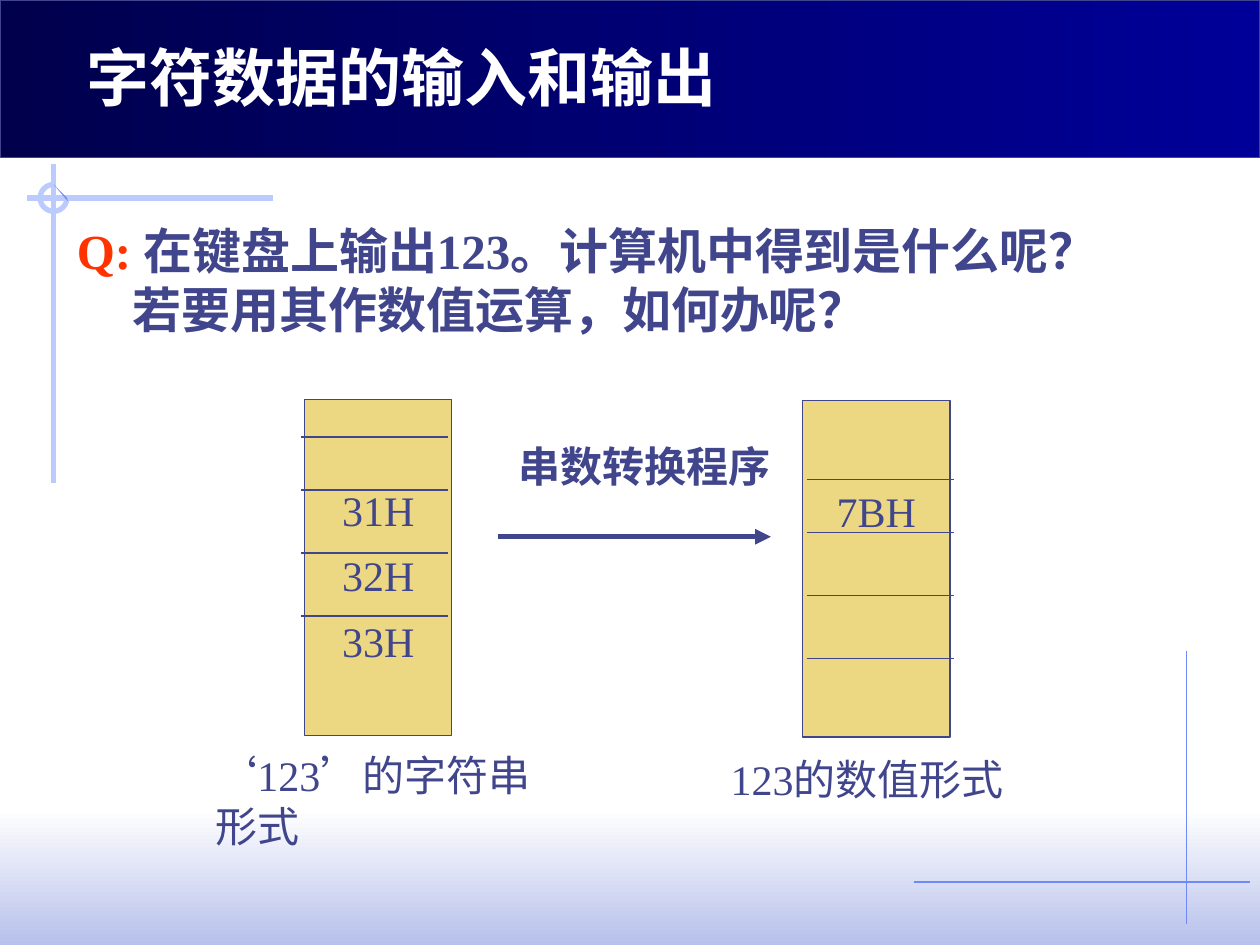
import pptx
import pptx.dml.color
import pptx.enum.lang
import pptx.enum.shapes
import pptx.enum.text
import pptx.oxml
import pptx.oxml.ns
import pptx.util
from pptx.util import Cm

COLORS = {
    "white": "FFFFFF", "ink": "40458C", "red": "FF3300", "cell": "ECD882",
    "navy": "00004D", "blue": "000099", "haze": "B7C1EB",
    "pale": "BBCBFD", "accent": "6F89F7",
}
FONT = "Times New Roman"
SHAPES = pptx.enum.shapes.MSO_SHAPE
ANCHORS = pptx.enum.text.MSO_ANCHOR


def rgb(name):
    """Return the named colour."""
    return pptx.dml.color.RGBColor.from_string(COLORS[name])


def append_element(parent, tag, **attributes):
    """Append a DrawingML element to its parent."""
    element = pptx.oxml.parse_xml(f"<{tag} {pptx.oxml.ns.nsdecls('a')}/>")
    for key, value in attributes.items():
        element.set(key, value)
    parent.append(element)


def write_text(frame, paragraphs, size=24, bold=False, color="ink", align=None,
               spacing=None, indents=()):
    """Fill a text frame with paragraphs given as lists of (text, color) runs."""
    for index, runs in enumerate(paragraphs):
        paragraph = frame.paragraphs[0] if index == 0 else frame.add_paragraph()
        paragraph.alignment = align
        paragraph.line_spacing = spacing
        if index < len(indents):
            paragraph._p.get_or_add_pPr().set("marL", str(Cm(indents[index])))
        for text, run_color in runs:
            run = paragraph.add_run()
            run.text = text
            run.font.name = FONT
            run.font.size = pptx.util.Pt(size)
            run.font.bold = bold
            run.font.color.rgb = rgb(run_color or color)
            run.font.language_id = pptx.enum.lang.MSO_LANGUAGE_ID.SIMPLIFIED_CHINESE


def add_text(slide, left, top, width, height, paragraphs, wrap=True, **text_format):
    """Add a text box."""
    box = slide.shapes.add_textbox(Cm(left), Cm(top), Cm(width), Cm(height))
    box.text_frame.word_wrap = wrap
    write_text(box.text_frame, paragraphs, **text_format)


def add_line(slide, start, end, color="ink", weight=0.75, arrow=False):
    """Add a straight line, with an arrowhead at its end if asked."""
    line = slide.shapes.add_connector(
        pptx.enum.shapes.MSO_CONNECTOR.STRAIGHT, *map(Cm, start + end))
    line.line.color.rgb = rgb(color)
    line.line.width = pptx.util.Pt(weight)
    if arrow:
        append_element(line.line._get_or_add_ln(), "a:tailEnd", type="triangle")
    append_element(line._element.spPr, "a:effectLst")


def paint(shape, fill=None, line=None, weight=0.75):
    """Set the fill and outline of a shape."""
    shape.shadow.inherit = False
    if fill:
        shape.fill.solid()
        shape.fill.fore_color.rgb = rgb(fill)
    else:
        shape.fill.background()
    if line:
        shape.line.color.rgb = rgb(line)
        shape.line.width = pptx.util.Pt(weight)
    else:
        shape.line.fill.background()


def add_band(slide, left, top, width, height, colors, angle, line=None):
    """Add a rectangle filled with a two-colour gradient."""
    band = slide.shapes.add_shape(
        SHAPES.RECTANGLE, Cm(left), Cm(top), Cm(width), Cm(height))
    paint(band, line=line)
    band.fill.gradient()
    band.fill.gradient_angle = angle
    for stop, color in zip(band.fill.gradient_stops, colors):
        stop.color.rgb = rgb(color)


def add_target(slide, x, y):
    """Draw the crosshair centred on a point."""
    radius = 0.27
    add_line(slide, (x + 4.42, y), (x - 0.53, y), "pale", 3)
    add_line(slide, (x, y - 0.69), (x, y + 5.74), "pale", 3)
    ring = slide.shapes.add_shape(
        SHAPES.ARC, Cm(x - radius), Cm(y - radius), Cm(2 * radius), Cm(2 * radius))
    ring.adjustments[0], ring.adjustments[1] = 0, 162
    paint(ring, line="pale", weight=3)
    builder = slide.shapes.build_freeform(Cm(x), Cm(y - radius))
    builder.add_line_segments(
        [(Cm(x + radius), Cm(y)), (Cm(x + radius + 0.02), Cm(y + 0.07))])
    paint(builder.convert_to_shape(), fill="accent")


def add_backdrop(slide, width, height):
    """Draw the gradients and decorative lines."""
    add_band(slide, 0, height - 2.74, width, 2.74, ("white", "haze"), 270)
    add_line(slide, (23.92, 13.13), (23.92, 18.62), "accent")
    add_target(slide, 1.08, 3.99)
    add_band(slide, 0, 0, width, 3.18, ("navy", "blue"), 0, "ink")
    add_line(slide, (18.42, 17.78), (25.19, 17.78), "accent")


def add_memory(slide, left, top, cells, caption, caption_box, shift, first_rule,
               anchor=ANCHORS.MIDDLE, margin=0.13):
    """Draw a memory column with its rules, contents and caption."""
    width, height = 2.97, 6.78
    column = slide.shapes.add_shape(
        SHAPES.RECTANGLE, Cm(left), Cm(top), Cm(width), Cm(height))
    paint(column, "cell", "ink")
    frame = column.text_frame
    frame.word_wrap = False
    frame.vertical_anchor = anchor
    frame.margin_top = Cm(margin)
    write_text(frame, [[(cell, None)] for cell in cells],
               align=pptx.enum.text.PP_ALIGN.CENTER, spacing=1.3)
    for step in (0, 1.07, 2.34, 3.61):
        y = top + first_rule + step
        add_line(slide, (left + shift, y), (left + shift + width, y))
    offset, drop, caption_width = caption_box
    add_text(slide, left + offset, top + drop, caption_width, 1.27,
             [[(caption, None)]])


def add_conversion(slide, left, top):
    """Draw the conversion arrow with its label."""
    add_line(slide, (left, top + 2.06), (left + 5.51, top + 2.06),
             weight=3, arrow=True)
    add_text(slide, left + 0.18, top, 5.61, 1.27, [[("串数转换程序", None)]],
             wrap=False, bold=True)


def main():
    """Build and save the presentation."""
    presentation = pptx.Presentation()
    presentation.slide_width, presentation.slide_height = Cm(25.4), Cm(19.05)
    slide = presentation.slides.add_slide(presentation.slide_layouts[6])
    add_backdrop(slide, 25.4, 19.05)
    add_text(slide, 1.3, 4.32, 22.2, 2.62,
             [[("Q: ", "red"), ("在键盘上输出123。计算机中得到是什么呢？", None)],
              [("若要用其作数值运算，如何办呢？", None)]],
             size=28, bold=True, indents=(0, 1.13))
    add_memory(slide, 6.14, 8.05, ["31H", "32H", "33H"], "‘123’的字符串形式",
               (-2.05, 6.94, 7.42), -0.07, 0.76)
    add_memory(slide, 16.18, 8.08, ["7BH"], "123的数值形式",
               (-1.7, 6.98, 6.02), 0.08, 1.59, ANCHORS.TOP, 1.41)
    add_conversion(slide, 10.03, 8.76)
    add_text(slide, 1.5, 0.66, 13.23, 1.8, [[("字符数据的输入和输出", None)]],
             wrap=False, size=36, bold=True, color="white")
    presentation.save("out.pptx")


if __name__ == "__main__":
    main()
